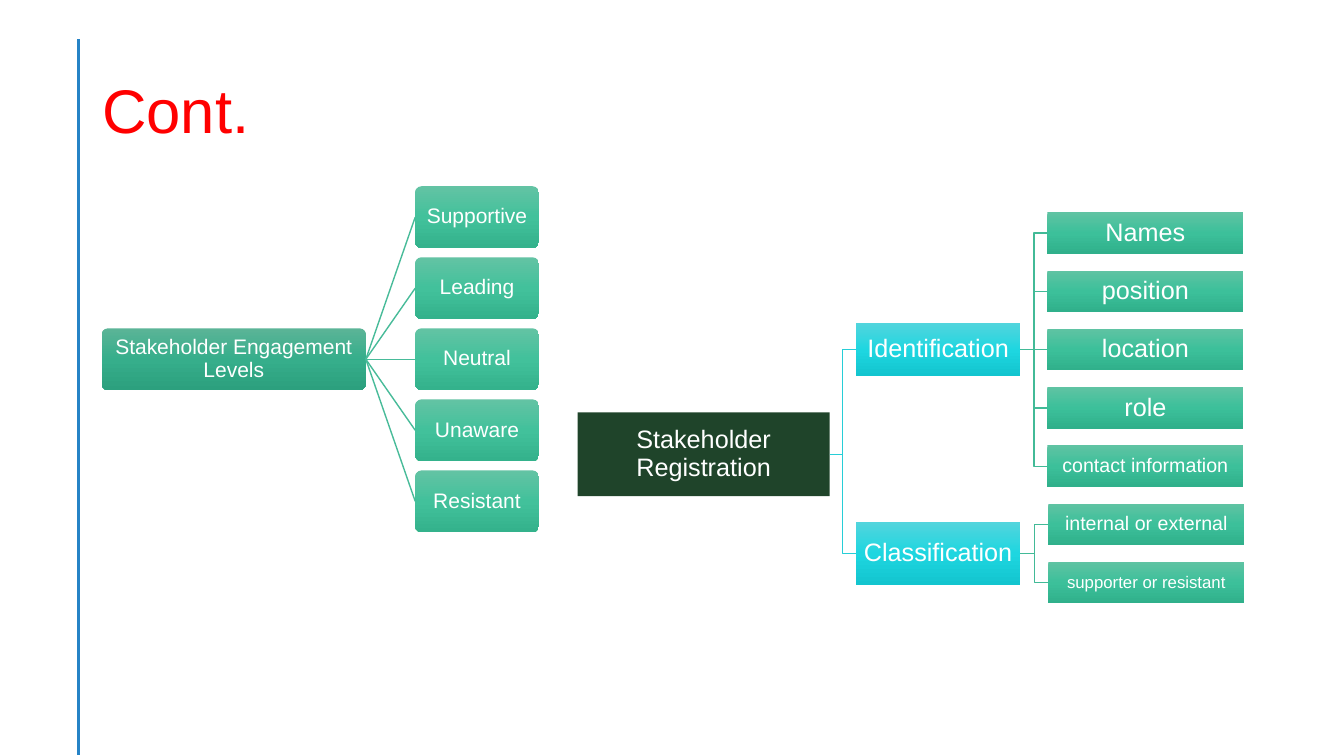
import copy

import pptx
import pptx.util
from pptx.dml.color import RGBColor
from pptx.enum.shapes import MSO_CONNECTOR, MSO_SHAPE
from pptx.enum.text import MSO_ANCHOR, PP_ALIGN
from pptx.oxml.ns import qn
from pptx.util import Pt

FONT = "Arial"
RED = RGBColor(0xFF, 0x00, 0x00)
WHITE = RGBColor(0xFF, 0xFF, 0xFF)
BLUE = RGBColor(0x26, 0x83, 0xC6)
CYAN = RGBColor(0x27, 0xCE, 0xD7)
GREEN = RGBColor(0x42, 0xBA, 0x97)
LEVEL_GREEN = RGBColor(0x48, 0xBB, 0x99)
DARK = [RGBColor(0x1F, 0x44, 0x2A)]
CYAN_FADE = [RGBColor(0x52, 0xD5, 0xDD), RGBColor(0x1E, 0xD6, 0xE0), RGBColor(0x13, 0xC5, 0xCF)]
LEAF_FADE = [RGBColor(0x5F, 0xC3, 0xA3), RGBColor(0x3C, 0xC0, 0x9A), RGBColor(0x30, 0xB0, 0x8B)]
ROOT_FADE = [RGBColor(0x5B, 0xB4, 0x97), RGBColor(0x36, 0xAE, 0x8B), RGBColor(0x2C, 0xA0, 0x7E)]
LEVEL_FADE = [RGBColor(0x63, 0xC3, 0xA4), RGBColor(0x42, 0xC1, 0x9B), RGBColor(0x34, 0xB2, 0x8C)]

TITLE = "Cont."
ENGAGEMENT = "Stakeholder Engagement Levels"
LEVELS = ["Supportive", "Leading", "Neutral", "Unaware", "Resistant"]
REGISTRATION = "Stakeholder Registration"
# (branch, box height, left edge of its leaves, [(leaf, text size)])
BRANCHES = [
    ("Identification", 37.4, 748.2,
     [("Names", 18), ("position", 18), ("location", 18), ("role", 18), ("contact information", 14)]),
    ("Classification", 44.6, 748.9,
     [("internal or external", 14), ("supporter or resistant", 12)]),
]

# Left edge, width and height of each kind of box; centre lines and steps
ENGAGEMENT_BOX = (72.7, 188.6, 44.1)
LEVEL_BOX = (296.6, 88.3, 44.1)
LEVEL_MIDDLE, LEVEL_STEP = 256.6, 50.75
REGISTRATION_BOX = (412.6, 180, 59.8)
REGISTRATION_MIDDLE = 324.5
BRANCH_LEFT, BRANCH_WIDTH = 611.3, 117.6
LEAF_WIDTH, LEAF_HEIGHT = 139.9, 29.6
LEAF_FIRST, LEAF_STEP = 166.5, 41.63


def fill_box(fill, colors):
    """One colour gives a solid fill, three a top-to-bottom gradient."""
    if len(colors) == 1:
        fill.solid()
        fill.fore_color.rgb = colors[0]
        return
    fill.gradient()
    fill.gradient_angle = 270
    first = fill._fill._gradFill.find(qn("a:gsLst"))[0]
    first.addnext(copy.deepcopy(first))
    for stop, color, position in zip(fill.gradient_stops, colors, (0, 0.5, 1)):
        stop.color.rgb = color
        stop.position = position


def write(tf, text, size, color):
    tf.word_wrap = True
    tf.vertical_anchor = MSO_ANCHOR.MIDDLE
    p = tf.paragraphs[0]
    p.text = text
    p.line_spacing = 0.9
    p.font.name = FONT
    p.font.size = Pt(size)
    p.font.color.rgb = color
    return p


def add_box(s, text, box, middle, colors, size, rounded=False):
    """Draw a labelled box centred on a height; return its left and right anchors."""
    left, width, height = box
    kind = MSO_SHAPE.ROUNDED_RECTANGLE if rounded else MSO_SHAPE.RECTANGLE
    sp = s.shapes.add_shape(kind, Pt(left), Pt(middle - height / 2), Pt(width), Pt(height))
    sp.shadow.inherit = False
    sp.line.fill.background()
    fill_box(sp.fill, colors)
    if rounded:
        sp.adjustments[0] = 0.1
    tf = sp.text_frame
    tf.margin_left = tf.margin_right = tf.margin_top = tf.margin_bottom = Pt(0.8)
    write(tf, text, size, WHITE).alignment = PP_ALIGN.CENTER
    return (left, middle), (left + width, middle)


def add_link(s, start, end, color, width=1, elbow=False):
    bent = elbow and abs(start[1] - end[1]) > 0.1
    kind = MSO_CONNECTOR.ELBOW if bent else MSO_CONNECTOR.STRAIGHT
    c = s.shapes.add_connector(kind, *(Pt(v) for v in start + end))
    c.line.color.rgb = color
    c.line.width = Pt(width)
    c._element.spPr.append(c._element.spPr.makeelement(qn("a:effectLst"), {}))


def add_engagement_tree(s):
    _, root = add_box(s, ENGAGEMENT, ENGAGEMENT_BOX, LEVEL_MIDDLE, ROOT_FADE, 15, True)
    for i, level in enumerate(LEVELS):
        middle = LEVEL_MIDDLE + (i - (len(LEVELS) - 1) / 2) * LEVEL_STEP
        left, _ = add_box(s, level, LEVEL_BOX, middle, LEVEL_FADE, 15, True)
        add_link(s, root, left, LEVEL_GREEN)


def add_registration_tree(s):
    _, root = add_box(s, REGISTRATION, REGISTRATION_BOX, REGISTRATION_MIDDLE, DARK, 18)
    top = LEAF_FIRST
    for branch, height, leaf_left, leaves in BRANCHES:
        middle = top + (len(leaves) - 1) / 2 * LEAF_STEP
        branch_box = (BRANCH_LEFT, BRANCH_WIDTH, height)
        left, right = add_box(s, branch, branch_box, middle, CYAN_FADE, 18)
        add_link(s, root, left, CYAN, elbow=True)
        for i, (leaf, size) in enumerate(leaves):
            leaf_box = (leaf_left, LEAF_WIDTH, LEAF_HEIGHT)
            end, _ = add_box(s, leaf, leaf_box, top + i * LEAF_STEP, LEAF_FADE, size)
            add_link(s, right, end, GREEN, elbow=True)
        top += len(leaves) * LEAF_STEP


def main():
    prs = pptx.Presentation()
    prs.slide_width, prs.slide_height = Pt(960), Pt(540)
    s = prs.slides.add_slide(prs.slide_layouts[6])
    add_link(s, (56.2, 28), (56.2, 539.5), BLUE, 2)
    title = s.shapes.add_textbox(Pt(66), Pt(28.8), Pt(828), Pt(104.4))
    write(title.text_frame, TITLE, 44, RED)
    add_registration_tree(s)
    add_engagement_tree(s)
    prs.save("out.pptx")


if __name__ == "__main__":
    main()
